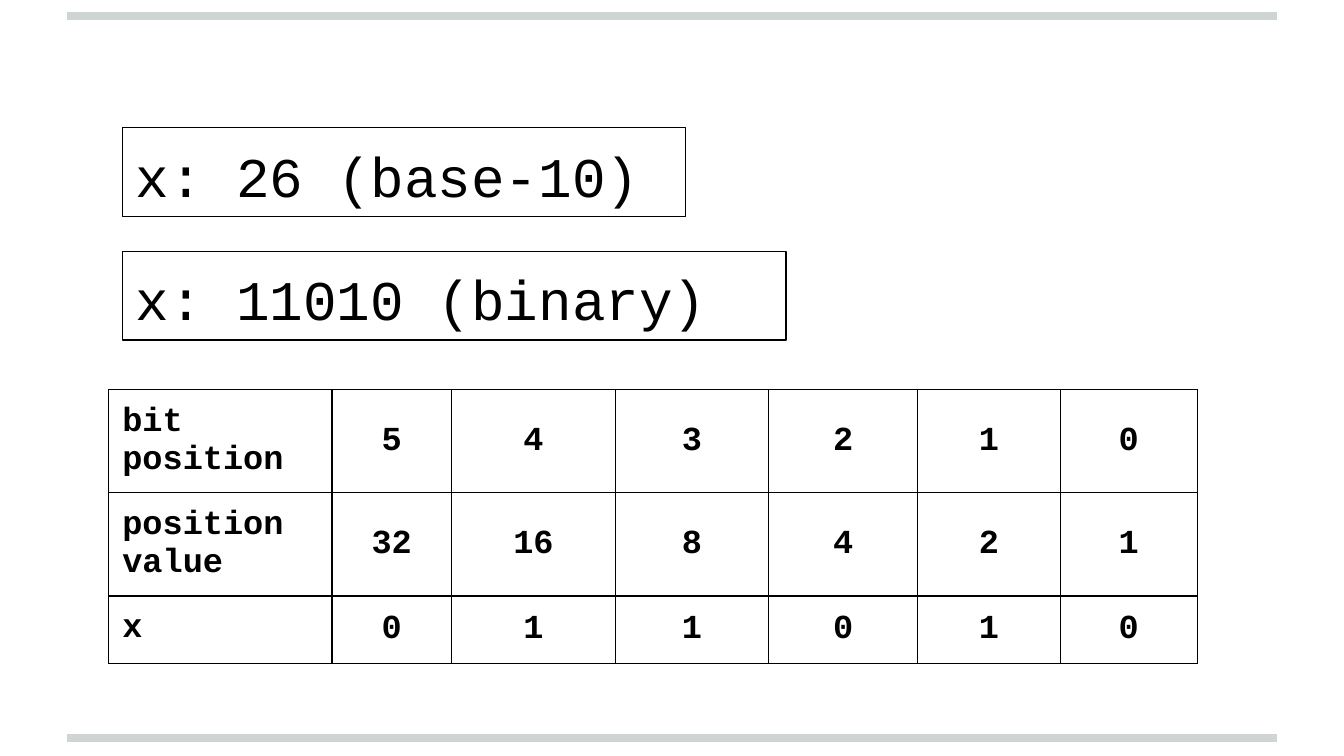
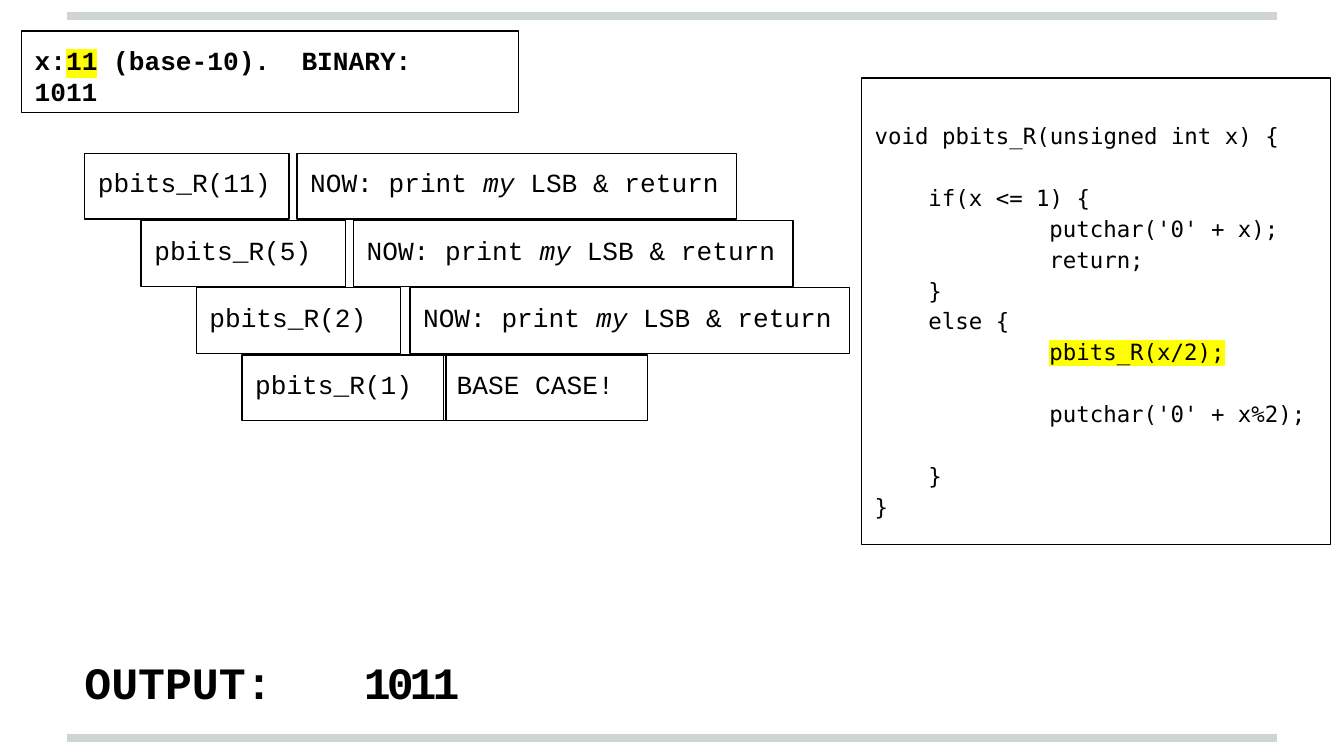
from dataclasses import dataclass

from lxml import etree
from pptx import Presentation
from pptx import util as u
from pptx.dml.color import RGBColor
from pptx.enum import shapes, text
from pptx.oxml.ns import qn


@dataclass(frozen=True)
class Theme:
    ink: str = "000000"
    band: str = "CFD4D4"
    mark: str = "FFFF00"
    font: str = "Courier New"
    code_font: str = "DejaVu Sans Mono"
    big: int = 30
    output: int = 24
    table: int = 18
    call: int = 14
    code: int = 12
    border: float = 0.75
    band_width: int = 4
    inset: float = 0.1
    code_spacing: float = 1.15


def set_all(obj, values):
    for name, value in values.items():
        setattr(obj, name, value)


def color_node(parent, tag, color):
    node = etree.SubElement(parent, qn(tag))
    etree.SubElement(node, qn("a:srgbClr")).set("val", color)
    return node


class Deck:
    def __init__(self, theme):
        self.theme = theme
        self.prs = Presentation()
        width = u.Inches(10)
        set_all(self.prs, {"slide_width": width, "slide_height": width * 9 // 16})
        self.layout = self.prs.slide_layouts[6]
        self.s = None

    def slide(self):
        self.s = self.prs.slides.add_slide(self.layout)

    def layout_band(self, y):
        """Draw a band on the current slide, then move it to the shared layout."""
        line = self.s.shapes.add_connector(
            shapes.MSO_CONNECTOR.STRAIGHT,
            u.Inches(0.5), u.Inches(y), u.Inches(9.5), u.Inches(y))
        line.line.color.rgb = RGBColor.from_string(self.theme.band)
        line.line.width = u.Pt(self.theme.band_width)
        etree.SubElement(line._element.spPr, qn("a:effectLst"))
        self.layout.shapes._spTree.append(line._element)

    def run(self, p, words, size, font=None, mark=False, **style):
        r = p.add_run()
        r.text = words
        set_all(r.font, {"name": font or self.theme.font, "size": u.Pt(size), **style})
        r.font.color.rgb = RGBColor.from_string(self.theme.ink)
        if mark:
            rpr = r.font._element
            rpr.find(qn("a:latin")).addprevious(
                color_node(rpr, "a:highlight", self.theme.mark))

    def frame(self, sp, top_inset=None):
        inset = u.Inches(self.theme.inset)
        tf = sp.text_frame
        set_all(tf, {
            "word_wrap": True, "vertical_anchor": text.MSO_ANCHOR.TOP,
            "margin_left": inset, "margin_right": inset, "margin_bottom": inset,
            "margin_top": u.Inches(top_inset) if top_inset else inset})
        return tf

    def rect(self, at):
        sp = self.s.shapes.add_shape(
            shapes.MSO_SHAPE.RECTANGLE, *(u.Inches(v) for v in at))
        sp.shadow.inherit = False
        sp.fill.background()
        sp.line.color.rgb = RGBColor.from_string(self.theme.ink)
        sp.line.width = u.Pt(self.theme.border)
        return sp

    def box(self, at, runs, size, **style):
        """Outlined box; runs are pairs of words and extra font values."""
        p = self.frame(self.rect(at)).paragraphs[0]
        p.alignment = text.PP_ALIGN.LEFT
        for words, extra in runs:
            self.run(p, words, size, **{**style, **extra})

    def label(self, at, words, align=text.PP_ALIGN.LEFT):
        sp = self.s.shapes.add_textbox(*(u.Inches(v) for v in at))
        p = self.frame(sp).paragraphs[0]
        p.alignment = align
        self.run(p, words, self.theme.output, bold=True)

    def code(self, at, lines, top_inset):
        """Code box; lines hold words, indent, lines skipped before, and mark."""
        t = self.theme
        tf = self.frame(self.rect(at), top_inset)
        for i, (words, indent, skipped, mark) in enumerate(lines):
            p = tf.add_paragraph() if i else tf.paragraphs[0]
            set_all(p, {"alignment": text.PP_ALIGN.LEFT,
                        "line_spacing": t.code_spacing,
                        "space_before": u.Pt(16.5 * skipped)})
            p._p.get_or_add_pPr().set("marL", str(u.Inches(indent)))
            self.run(p, words, t.code, t.code_font, mark)

    def cell_borders(self, cell):
        tcpr = cell._tc.get_or_add_tcPr()
        for i, side in enumerate(("a:lnL", "a:lnR", "a:lnT", "a:lnB")):
            ln = etree.Element(qn(side), w=str(u.Pt(self.theme.border)))
            color_node(ln, "a:solidFill", self.theme.ink)
            tcpr.insert(i, ln)

    def table(self, left, top, widths, heights, rows):
        table = self.s.shapes.add_table(
            len(rows), len(widths), u.Inches(left), u.Inches(top),
            u.Inches(sum(widths)), u.Inches(sum(heights))).table
        set_all(table, {"first_row": False, "horz_banding": False})
        for col, width in zip(table.columns, widths):
            col.width = u.Inches(width)
        inset = u.Inches(self.theme.inset)
        margins = {f"margin_{side}": inset for side in ("left", "right", "top", "bottom")}
        for i, row in enumerate(rows):
            table.rows[i].height = u.Inches(heights[i])
            for j, words in enumerate(row):
                cell = table.cell(i, j)
                set_all(cell, margins)
                cell.fill.background()
                self.cell_borders(cell)
                p = cell.text_frame.paragraphs[0]
                if j:
                    cell.vertical_anchor = text.MSO_ANCHOR.MIDDLE
                    p.alignment = text.PP_ALIGN.CENTER
                self.run(p, words, self.theme.table, bold=True)


def binary_slide(deck):
    deck.slide()
    for y in (5.49, 0.12):
        deck.layout_band(y)
    for top, width, words in ((0.95, 4.19, "x: 26 (base-10)"),
                              (1.87, 4.94, "x: 11010 (binary)")):
        deck.box((0.91, top, width, 0.66), [(words, {})], deck.theme.big)
    bits = range(5, -1, -1)
    deck.table(0.81, 2.9, (1.66, 0.89, 1.22, 1.14, 1.11, 1.06, 1.02), (0.43, 0.43, 0.5), [
        ["bit position", *(str(b) for b in bits)],
        ["position value", *(str(2 ** b) for b in bits)],
        ["x", *"011010"]])


def recursion_slide(deck):
    t = deck.theme
    deck.slide()
    deck.code((6.41, 0.58, 3.49, 3.47), [
        ("void pbits_R(unsigned int x) {", 0, 0, False),
        ("if(x <= 1) {", 0.4, 1, False),
        ("putchar('0' + x);", 1.3, 0, False),
        ("return;", 1.3, 0, False),
        ("}", 0.4, 0, False),
        ("else {", 0.4, 0, False),
        ("pbits_R(x/2);", 1.3, 0, True),
        ("putchar('0' + x%2);", 1.3, 1, False),
        ("}", 0.4, 1, False),
        ("}", 0, 0, False)], top_inset=0.3)
    deck.box((0.16, 0.23, 3.7, 0.61),
             [("x:", {}), ("11", {"mark": True}), (" (base-10).  BINARY:  1011", {})],
             t.call, bold=True)

    now = [("NOW: print ", {}), ("my", {"italic": True}), (" LSB & return", {})]
    base = [("BASE CASE!", {})]
    calls = [(11, 0.63, 2.21, 3.27, now), (5, 1.05, 2.63, 3.27, now),
             (2, 1.46, 3.05, 3.27, now), (1, 1.8, 3.3, 1.52, base)]
    for i, (x, left, note_left, note_width, note) in enumerate(calls):
        top = 1.14 + 0.5 * i
        deck.box((left, top, 1.52, 0.49), [(f"pbits_R({x})", {})], t.call)
        deck.box((note_left, top, note_width, 0.49), note, t.call)

    deck.label((0.53, 4.77, 2, 0.42), "OUTPUT:")
    for i, bit in enumerate("1011"):
        deck.label((2.61 + 0.17 * i, 4.77, 0.35, 0.35), bit, text.PP_ALIGN.CENTER)


def main():
    deck = Deck(Theme())
    binary_slide(deck)
    recursion_slide(deck)
    deck.prs.save("out.pptx")


if __name__ == "__main__":
    main()
